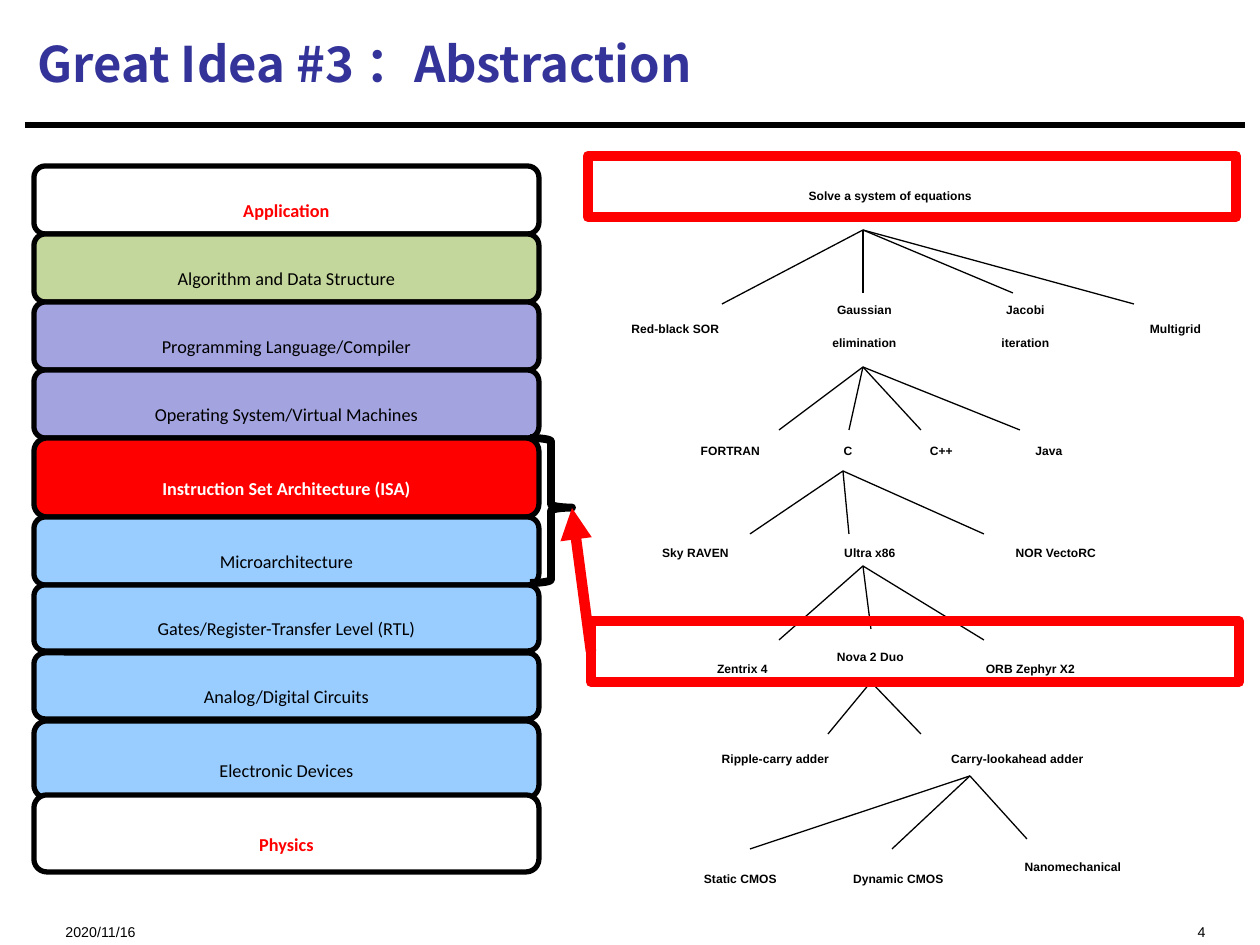
from lxml.etree import SubElement
from pptx import Presentation
from pptx.dml.color import RGBColor
from pptx.enum.shapes import MSO_CONNECTOR, MSO_SHAPE
from pptx.enum.text import MSO_ANCHOR, PP_ALIGN
from pptx.oxml.ns import qn
from pptx.util import Emu, Pt

PX = 914400 // 126


def color(value):
    return RGBColor.from_string(value)


def put_text(sp, text, size=12, font="Arial", rgb="000000", bold=False,
             align=PP_ALIGN.CENTER, anchor=MSO_ANCHOR.TOP, wrap=False, baseline=-25000):
    tf = sp.text_frame
    tf.word_wrap = wrap
    tf.vertical_anchor = anchor
    for i, line in enumerate(text.split("\n")):
        p = tf.paragraphs[0] if i == 0 else tf.add_paragraph()
        p.alignment = align
        p.space_before = Pt(2.4 if i else 0)
        r = p.add_run()
        r.text = line
        r.font.size = Pt(size)
        r.font.name = font
        r.font.bold = bold
        r.font.color.rgb = color(rgb)
        rPr = r._r.get_or_add_rPr()
        if baseline:
            rPr.set("baseline", str(baseline))
        SubElement(rPr, qn("a:ea")).set("typeface", font)


def add_line(x1, y1, x2, y2, rgb="000000", width=0.75):
    ln = s.shapes.add_connector(MSO_CONNECTOR.STRAIGHT, *[Emu(v * PX) for v in (x1, y1, x2, y2)])
    ln.line.color.rgb = color(rgb)
    ln.line.width = Pt(width)
    SubElement(ln._element.spPr, qn("a:effectLst"))
    return ln


prs = Presentation()
prs.slide_width, prs.slide_height = Emu(1260 * PX), Emu(945 * PX)
s = prs.slides.add_slide(prs.slide_layouts[5])

add_line(25, 125, 1245, 125, width=3.75)
title = s.shapes.title
title.left, title.top, title.width, title.height = [Emu(v * PX) for v in (25, 10, 1219, 106)]
put_text(title, "Great Idea #3 ：Abstraction", size=28, font="Noto Sans CJK SC", rgb="333399",
         bold=True, align=PP_ALIGN.LEFT, anchor=MSO_ANCHOR.MIDDLE, wrap=True, baseline=0)

for text, x, w, align in [("2020/11/16", 53, 315, PP_ALIGN.LEFT), ("4", 840, 378, PP_ALIGN.RIGHT)]:
    sp = s.shapes.add_textbox(*[Emu(v * PX) for v in (x, 901, w, 34)])
    put_text(sp, text, size=14, align=align, wrap=True)

labels = [
    ("Solve a system of equations", 708, 168, 365),
    ("Gaussian\nelimination", 784, 282, 161),
    ("Jacobi\niteration", 961, 282, 129),
    ("Red-black SOR", 571, 301, 209),
    ("Multigrid", 1108, 301, 135),
    ("FORTRAN", 655, 423, 151),
    ("C", 824, 423, 48),
    ("C++", 903, 423, 77),
    ("Java", 1007, 423, 84),
    ("Sky RAVEN", 611, 525, 169),
    ("Ultra x86", 805, 525, 130),
    ("NOR VectoRC", 960, 525, 192),
    ("Zentrix 4", 668, 641, 149),
    ("Nova 2 Duo", 789, 629, 163),
    ("ORB Zephyr X2", 926, 641, 209),
    ("Ripple-carry adder", 651, 731, 249),
    ("Carry-lookahead adder", 867, 731, 301),
    ("Static CMOS", 651, 851, 179),
    ("Dynamic CMOS", 791, 851, 215),
    ("Nanomechanical", 959, 839, 228),
]
for text, x, y, w in labels:
    h = 64 if "\n" in text else 38
    sp = s.shapes.add_textbox(*[Emu(v * PX) for v in (x, y, w, h)])
    put_text(sp, text, bold=True)

branches = [
    ((863, 230), [(722, 304), (863, 293), (1013, 293), (1134, 304)]),
    ((863, 367), [(779, 430), (849, 430), (921, 430), (1020, 430)]),
    ((843, 471), [(750, 534), (849, 534), (984, 534)]),
    ((863, 566), [(779, 640), (871, 629), (984, 640)]),
    ((871, 682), [(828, 734), (921, 734)]),
    ((970, 776), [(750, 849), (892, 849), (1027, 839)]),
]
for root, leaves in branches:
    for leaf in leaves:
        add_line(*root, *leaf)

layers = [
    ("Application", 166, 68, "FFFFFF", "FF0000", True),
    ("Algorithm and Data Structure", 234, 68, "C3D69B", "000000", False),
    ("Programming Language/Compiler", 302, 68, "A3A3E0", "000000", False),
    ("Operating System/Virtual Machines", 370, 68, "A3A3E0", "000000", False),
    ("Instruction Set Architecture (ISA)", 438, 79, "FF0000", "FFFFFF", True),
    ("Microarchitecture", 517, 68, "99CCFF", "000000", False),
    ("Gates/Register-Transfer Level (RTL)", 585, 66, "99CCFF", "000000", False),
    ("Analog/Digital Circuits", 653, 66, "99CCFF", "000000", False),
    ("Electronic Devices", 721, 77, "99CCFF", "000000", False),
    ("Physics", 795, 77, "FFFFFF", "FF0000", True),
]
for text, y, h, fill, rgb, bold in layers:
    sp = s.shapes.add_shape(MSO_SHAPE.ROUNDED_RECTANGLE, *[Emu(v * PX) for v in (34, y, 505, h)])
    sp.shadow.inherit = False
    sp.fill.solid()
    sp.fill.fore_color.rgb = color(fill)
    sp.line.color.rgb = color("000000")
    sp.line.width = Pt(3)
    put_text(sp, text, size=18, font="Calibri", rgb=rgb, bold=bold, anchor=MSO_ANCHOR.MIDDLE)

outlines = [
    (MSO_SHAPE.RECTANGLE, (588, 156, 648, 61), "FF0000", 6),
    (MSO_SHAPE.RIGHT_BRACE, (530, 438, 42, 145), "000000", 4.5),
    (MSO_SHAPE.RECTANGLE, (591, 621, 648, 61), "FF0000", 6),
]
for kind, box, rgb, width in outlines:
    sp = s.shapes.add_shape(kind, *[Emu(v * PX) for v in box])
    sp.shadow.inherit = False
    sp.fill.background()
    sp.line.color.rgb = color(rgb)
    sp.line.width = Pt(width)
    if kind == MSO_SHAPE.RIGHT_BRACE:
        sp.adjustments[0], sp.adjustments[1] = 0.08, 0.48

arrow = add_line(591, 651, 572, 508, rgb="FF0000", width=6)
arrow.begin_connect(sp, 1)
SubElement(arrow.line._get_or_add_ln(), qn("a:tailEnd")).set("type", "triangle")

prs.save("out.pptx")
